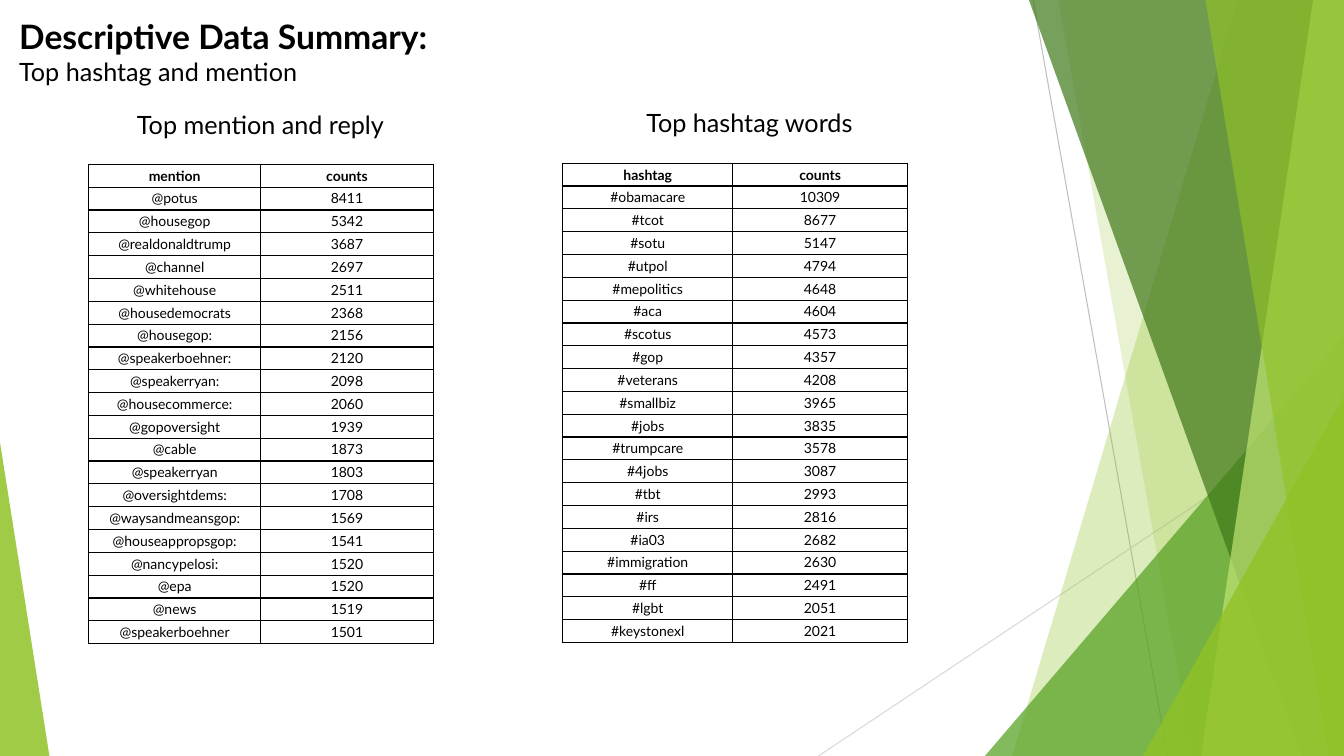
from lxml import etree
from pptx import Presentation
from pptx.dml.color import RGBColor
from pptx.enum.shapes import MSO_CONNECTOR, MSO_SHAPE
from pptx.enum.text import MSO_ANCHOR, MSO_AUTO_SIZE as AUTO, PP_ALIGN
from pptx.oxml import parse_xml
from pptx.oxml.ns import nsdecls, qn
from pptx.util import Pt

FONT = "Lato"
WIDTH, HEIGHT = 960, 540
ROW_HEIGHT = 16.32
COLORS = {
    "text": "000000", "steep": "BFBFBF", "shallow": "D9D9D9", "lime": "90C226",
    "green": "54A021", "forest": "3F7819", "pale": "C0E474",
}

MENTIONS = [
    ("mention", "counts"), ("@potus", 8411), ("@housegop", 5342),
    ("@realdonaldtrump", 3687), ("@channel", 2697), ("@whitehouse", 2511),
    ("@housedemocrats", 2368), ("@housegop:", 2156), ("@speakerboehner:", 2120),
    ("@speakerryan:", 2098), ("@housecommerce:", 2060), ("@gopoversight", 1939),
    ("@cable", 1873), ("@speakerryan", 1803), ("@oversightdems:", 1708),
    ("@waysandmeansgop:", 1569), ("@houseappropsgop:", 1541),
    ("@nancypelosi:", 1520), ("@epa", 1520), ("@news", 1519),
    ("@speakerboehner", 1501),
]
HASHTAGS = [
    ("hashtag", "counts"), ("#obamacare", 10309), ("#tcot", 8677), ("#sotu", 5147),
    ("#utpol", 4794), ("#mepolitics", 4648), ("#aca", 4604), ("#scotus", 4573),
    ("#gop", 4357), ("#veterans", 4208), ("#smallbiz", 3965), ("#jobs", 3835),
    ("#trumpcare", 3578), ("#4jobs", 3087), ("#tbt", 2993), ("#irs", 2816),
    ("#ia03", 2682), ("#immigration", 2630), ("#ff", 2491), ("#lgbt", 2051),
    ("#keystonexl", 2021),
]


def rgb(name):
    return RGBColor.from_string(COLORS[name])


def set_attrs(target, **values):
    for name, value in values.items():
        setattr(target, name, value)


def write(p, text, size, bold=False, align=PP_ALIGN.CENTER):
    p.alignment = align
    r = p.add_run()
    r.text = str(text)
    set_attrs(r.font, name=FONT, size=Pt(size), bold=bold)
    r.font.color.rgb = rgb("text")


def paint(sp, color, opacity):
    sp.shadow.inherit = False
    sp.line.fill.background()
    sp.fill.solid()
    sp.fill.fore_color.rgb = rgb(color)
    clr = sp.fill._xPr.find(qn("a:solidFill"))[0]
    etree.SubElement(clr, qn("a:alpha")).set("val", str(opacity * 1000))


def add_line(s, x1, y1, x2, y2, color):
    line = s.shapes.add_connector(MSO_CONNECTOR.STRAIGHT, Pt(x1), Pt(y1), Pt(x2), Pt(y2))
    line.line.color.rgb = rgb(color)
    line.line.width = Pt(0.75)
    etree.SubElement(line._element.spPr, qn("a:effectLst"))


def add_band(s, top_x, bottom_x, color, opacity):
    """Full-height band from a slanted left edge to the right slide edge."""
    fb = s.shapes.build_freeform(top_x, 0, scale=Pt(1))
    fb.add_line_segments([(WIDTH, 0), (WIDTH, HEIGHT), (bottom_x, HEIGHT)])
    paint(fb.convert_to_shape(), color, opacity)


def add_triangle(s, x, y, w, apex, color, opacity):
    """Triangle standing on the bottom slide edge."""
    sp = s.shapes.add_shape(MSO_SHAPE.ISOSCELES_TRIANGLE, Pt(x), Pt(y), Pt(w), Pt(HEIGHT - y))
    sp.adjustments[0] = apex
    paint(sp, color, opacity)


def add_heading(s, x, y, text):
    tf = s.shapes.add_textbox(Pt(x), Pt(y), Pt(221), Pt(28.8)).text_frame
    set_attrs(tf, word_wrap=True, auto_size=AUTO.SHAPE_TO_FIT_TEXT)
    write(tf.paragraphs[0], text, 18)


def add_borders(cell):
    tc_pr = cell._tc.get_or_add_tcPr()
    for i, side in enumerate(("lnL", "lnR", "lnT", "lnB")):
        tc_pr.insert(i, parse_xml(
            f'<a:{side} {nsdecls("a")} w="{Pt(1)}"><a:solidFill>'
            f'<a:srgbClr val="{COLORS["text"]}"/></a:solidFill></a:{side}>'))


def add_count_table(s, x, y, widths, rows):
    table = s.shapes.add_table(len(rows), len(widths), Pt(x), Pt(y), Pt(sum(widths)),
                               Pt(ROW_HEIGHT * len(rows))).table
    set_attrs(table, first_row=False, horz_banding=False)
    for col, width in zip(table.columns, widths):
        col.width = Pt(width)
    for i, values in enumerate(rows):
        table.rows[i].height = Pt(ROW_HEIGHT)
        for j, value in enumerate(values):
            cell = table.cell(i, j)
            set_attrs(cell, vertical_anchor=MSO_ANCHOR.MIDDLE,
                      margin_left=Pt(4.3), margin_right=Pt(4.3),
                      margin_top=Pt(2.1), margin_bottom=Pt(2.1))
            cell.fill.background()
            add_borders(cell)
            write(cell.text_frame.paragraphs[0], value, 10, bold=i == 0)


def set_title(s, title, subtitle):
    sp = s.shapes.title
    set_attrs(sp, left=Pt(6.5), top=Pt(7.9), width=Pt(756), height=Pt(58.3))
    tf = sp.text_frame
    set_attrs(tf, word_wrap=True, auto_size=AUTO.SHAPE_TO_FIT_TEXT,
              vertical_anchor=MSO_ANCHOR.TOP)
    write(tf.paragraphs[0], title, 24, True, PP_ALIGN.LEFT)
    write(tf.add_paragraph(), subtitle, 18, False, PP_ALIGN.LEFT)
    for p in tf.paragraphs:
        p.space_before = Pt(0)


def main():
    prs = Presentation()
    set_attrs(prs, slide_width=Pt(WIDTH), slide_height=Pt(HEIGHT))
    s = prs.slides.add_slide(prs.slide_layouts[5])

    # Decoration, back to front
    add_line(s, 738, 0, 834, HEIGHT, "steep")
    add_line(s, WIDTH, 290, 584.6, HEIGHT, "shallow")
    add_band(s, 884, 723, "lime", 30)
    add_band(s, 756, 852, "lime", 20)
    add_triangle(s, 703.5, 240, 256.5, 1, "green", 72)
    add_band(s, 735, 929.5, "forest", 70)
    add_band(s, 938, 858, "pale", 70)
    add_band(s, 861, 949, "lime", 65)
    add_triangle(s, 816.5, 283, 143.5, 1, "lime", 80)
    add_triangle(s, 0, 316, 35.3, 0, "lime", 85)

    # Title
    set_title(s, "Descriptive Data Summary:", "Top hashtag and mention")

    # Tables with their headings
    add_heading(s, 75.6, 74.2, "Top mention and reply")
    add_count_table(s, 63.2, 117.4, (123.1, 123.1), MENTIONS)
    add_heading(s, 424.8, 73.4, "Top hashtag words")
    add_count_table(s, 401.8, 116.6, (121.7, 124.6), HASHTAGS)

    prs.save("out.pptx")


if __name__ == "__main__":
    main()
